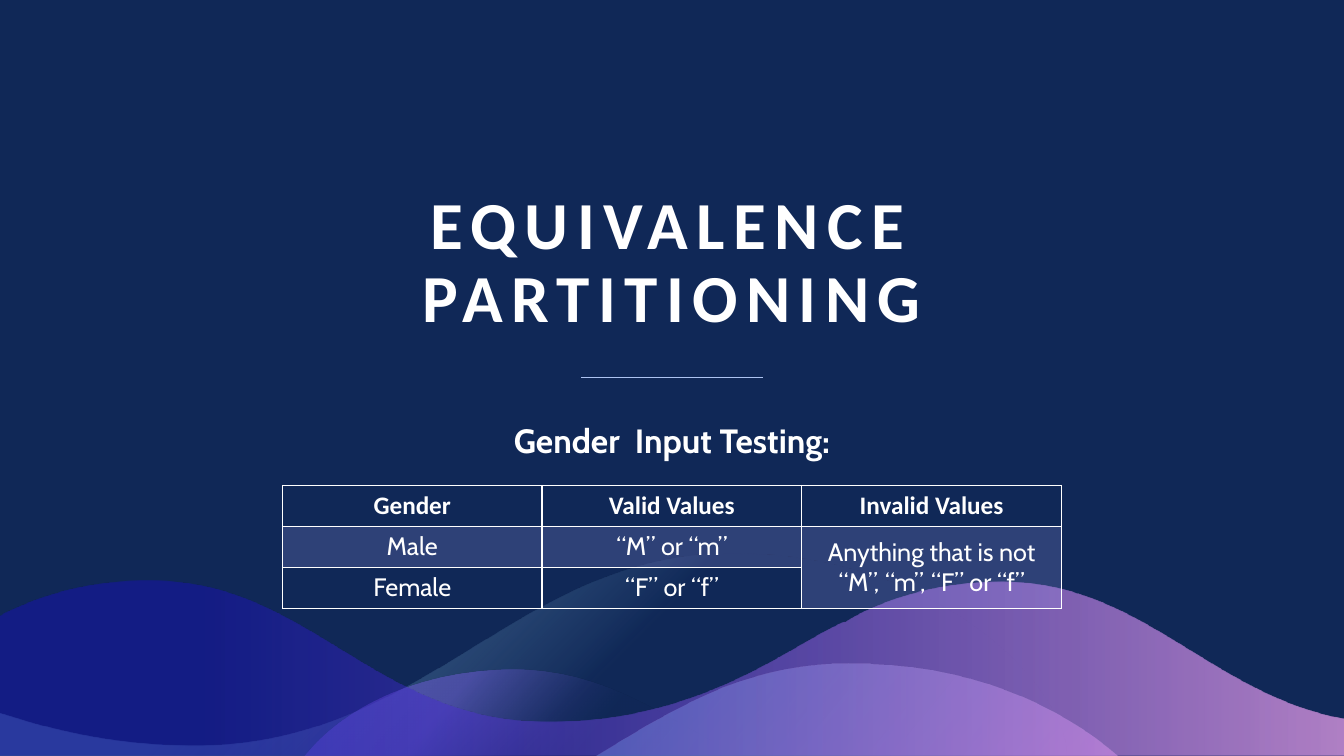
from dataclasses import dataclass

from lxml.etree import SubElement
from pptx import Presentation
from pptx.dml.color import RGBColor
from pptx.enum.shapes import MSO_CONNECTOR as Connector
from pptx.enum.text import MSO_ANCHOR as Anchor, PP_ALIGN as Align
from pptx.oxml import parse_xml
from pptx.oxml.ns import nsdecls, qn
from pptx.util import Pt

NAVY, WHITE, PINK, LILAC, PALE = "102857", "FFFFFF", "F6A6F4", "AAA5F9", "ADC3F1"


@dataclass
class Stop:
    position: int
    color: str
    opacity: int


@dataclass
class Wave:
    """Outline from start: pairs are line ends, sextuples are Bézier curves."""
    start: tuple[float, float]
    segments: list[tuple[float, ...]]
    stops: list[Stop]
    angle: int | None  # None means radial from the bottom right corner


WAVES = [
    Wave((520.6, 395.3),
         [(661.7, 394.6, 751, 478.8, 761, 532.1), (761.8, 540), (0, 540),
          (0, 509), (14.4, 513.4), (51.8, 524.9, 95, 532.8, 144.7, 532.1),
          (305.3, 529.2, 370.1, 396, 520.6, 395.3)],
         [Stop(43, NAVY, 50), Stop(73, "92CDF0", 29)], None),
    Wave((367.9, 478.1),
         [(432, 478.8, 473, 511.2, 521.3, 536.4), (528.5, 540), (217.4, 540),
          (221.8, 535), (247, 506.2, 298.1, 478.1, 367.9, 478.1)],
         [Stop(33, NAVY, 28), Stop(66, "765FE1", 46)], 220),
    Wave((606.2, 473.8),
         [(691.2, 473, 756.7, 503.3, 798.5, 539.3), (799.2, 540), (424.8, 540),
          (442.8, 529.2), (491, 499.7, 540.7, 473.8, 606.2, 473.8)],
         [Stop(0, "64DFED", 43), Stop(100, PINK, 53)], 40),
    Wave((108, 414.7),
         [(218.9, 414.7, 267.1, 513.4, 385.9, 515.5),
          (496.8, 517.7, 562.3, 462.2, 600.5, 445), (603.4, 444.2),
          (610.6, 439.9), (638.6, 425.5, 673.9, 415.4, 715.7, 415.4),
          (812.9, 416.2, 861.8, 491.8, 951.8, 511.9), (960, 513.4),
          (960, 540), (0, 540), (0, 439.9), (2.2, 438.5),
          (31, 424.1, 66.2, 414, 108, 414.7)],
         [Stop(0, PINK, 69), Stop(85, "180DC2", 42)], 180),
]

TITLE = {"name": "Calibri", "size": Pt(48), "bold": True}
SUBTITLE = {"name": "Cabin", "size": Pt(24), "bold": True}
HEADER = {"name": "Calibri", "size": Pt(18), "bold": True}
BODY = {"name": "Cabin", "size": Pt(18), "bold": False}

ROWS = [
    ["Gender", "Valid Values", "Invalid Values"],
    ["Male", "“M” or “m”", "Anything that is not “M”, “m”, “F” or “f”"],
    ["Female", "“F” or “f”", ""],
]
COLUMN_WIDTH, ROW_HEIGHT = 185.5, 29.3


def rgb(color: str) -> RGBColor:
    return RGBColor.from_string(color)


def gradient(wave: Wave):
    stops = "".join(
        f'<a:gs pos="{stop.position * 1000}"><a:srgbClr val="{stop.color}">'
        f'<a:alpha val="{stop.opacity * 1000}"/></a:srgbClr></a:gs>'
        for stop in wave.stops)
    if wave.angle is None:
        shade = ('<a:path path="circle">'
                 '<a:fillToRect l="100000" t="100000"/></a:path>')
    else:
        shade = f'<a:lin ang="{wave.angle * 60000}" scaled="0"/>'
    return parse_xml(f'<a:gradFill {nsdecls("a")} rotWithShape="1">'
                     f'<a:gsLst>{stops}</a:gsLst>{shade}</a:gradFill>')


def bend_lines(shape, segments: list[tuple[float, ...]]) -> None:
    """Turn the straight stand-in of each Bézier segment into a real curve."""
    lines = list(shape.element.iter(qn("a:lnTo")))
    for line, segment in zip(lines, segments):
        if len(segment) == 6:
            line.tag = qn("a:cubicBezTo")
            line.clear()
            for x, y in zip(segment[::2], segment[1::2]):
                SubElement(line, qn("a:pt"), x=str(Pt(x) - shape.left),
                           y=str(Pt(y) - shape.top))


def draw_wave(page, wave: Wave) -> None:
    ends = [(Pt(segment[-2]), Pt(segment[-1])) for segment in wave.segments]
    builder = page.shapes.build_freeform(*map(Pt, wave.start), scale=1.0)
    builder.add_line_segments(ends, close=True)
    shape = builder.convert_to_shape()
    bend_lines(shape, wave.segments)
    shape.shadow.inherit = False
    shape.line.fill.background()
    outline = shape.element.spPr.find(qn("a:ln"))
    outline.addprevious(gradient(wave))


def write(frame, text: str, style: dict, line_spacing: float = 1.0):
    para = frame.paragraphs[0]
    para.alignment = Align.CENTER
    para.line_spacing = line_spacing
    span = para.add_run()
    span.text = text
    for name, value in style.items():
        setattr(span.font, name, value)
    span.font.color.rgb = rgb(WHITE)
    return span


def add_text(page, bounds: tuple, text: str, style: dict, anchor: Anchor):
    box = page.shapes.add_textbox(*map(Pt, bounds))
    box.text_frame.word_wrap = True
    box.text_frame.vertical_anchor = anchor
    return write(box.text_frame, text, style, 0.9)


def add_borders(cell) -> None:
    properties = cell._tc.get_or_add_tcPr()
    for index, side in enumerate(("lnL", "lnR", "lnT", "lnB")):
        properties.insert(index, parse_xml(
            f'<a:{side} {nsdecls("a")} w="{Pt(1)}"><a:solidFill>'
            f'<a:srgbClr val="{WHITE}"/></a:solidFill></a:{side}>'))


def add_values_table(page) -> None:
    columns = len(ROWS[0])
    frame = page.shapes.add_table(
        len(ROWS), columns, Pt(201.7), Pt(346.8),
        Pt(COLUMN_WIDTH * columns), Pt(ROW_HEIGHT * len(ROWS)))
    table = frame.table
    table.first_row = table.horz_banding = False
    for column in table.columns:
        column.width = Pt(COLUMN_WIDTH)
    for row in table.rows:
        row.height = Pt(ROW_HEIGHT)
    table.cell(1, 2).merge(table.cell(2, 2))
    for row_index, texts in enumerate(ROWS):
        for column_index, text in enumerate(texts):
            cell = table.cell(row_index, column_index)
            if row_index == 1 or cell.is_spanned:
                cell.fill.solid()
                cell.fill.fore_color.rgb = rgb(LILAC)
                tint = cell._tc.tcPr.find(".//" + qn("a:srgbClr"))
                SubElement(tint, qn("a:alpha"), val="20000")
            else:
                cell.fill.background()
            if cell.is_merge_origin:
                cell.vertical_anchor = Anchor.MIDDLE
            add_borders(cell)
            if text:
                write(cell.text_frame, text, BODY if row_index else HEADER)


def main() -> None:
    deck = Presentation()
    deck.slide_width, deck.slide_height = Pt(960), Pt(540)
    page = deck.slides.add_slide(deck.slide_layouts[6])

    # Background and waves
    page.background.fill.solid()
    page.background.fill.fore_color.rgb = rgb(NAVY)
    for wave in WAVES:
        draw_wave(page, wave)

    # Divider
    divider = page.shapes.add_connector(
        Connector.STRAIGHT, Pt(545), Pt(269.7), Pt(415), Pt(269.7))
    divider.line.color.rgb = rgb(PALE)
    divider.line.width = Pt(0.5)
    SubElement(divider.element.spPr, qn("a:effectLst"))

    # Headings
    title = add_text(page, (120, 160, 720, 84), "EQUIVALENCE PARTITIONING",
                     TITLE, Anchor.BOTTOM)
    title.font._element.set("spc", "600")
    add_text(page, (201.7, 299.5, 556.5, 36), "Gender  Input Testing:",
             SUBTITLE, Anchor.TOP)

    # Table
    add_values_table(page)
    deck.save("out.pptx")


if __name__ == "__main__":
    main()
